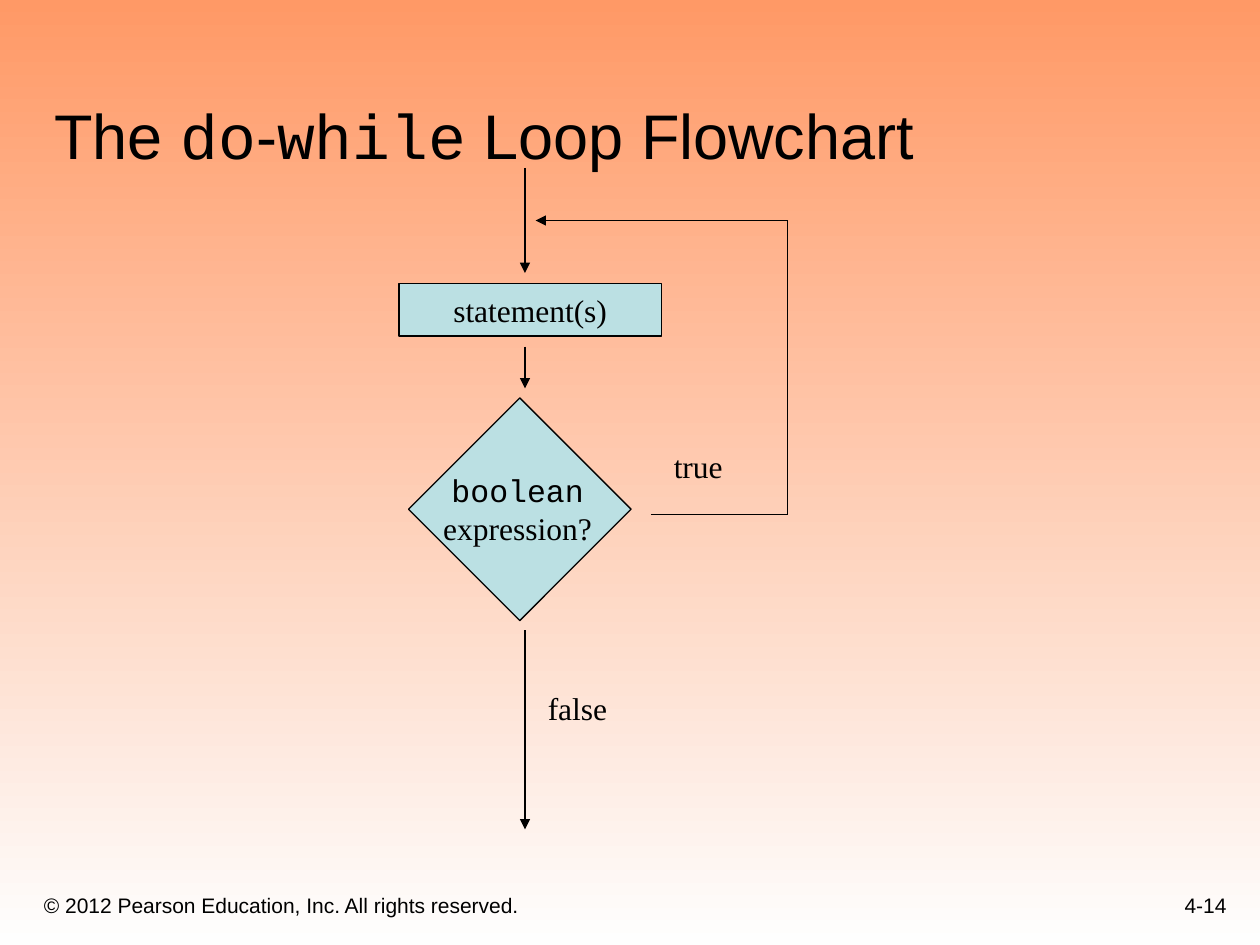
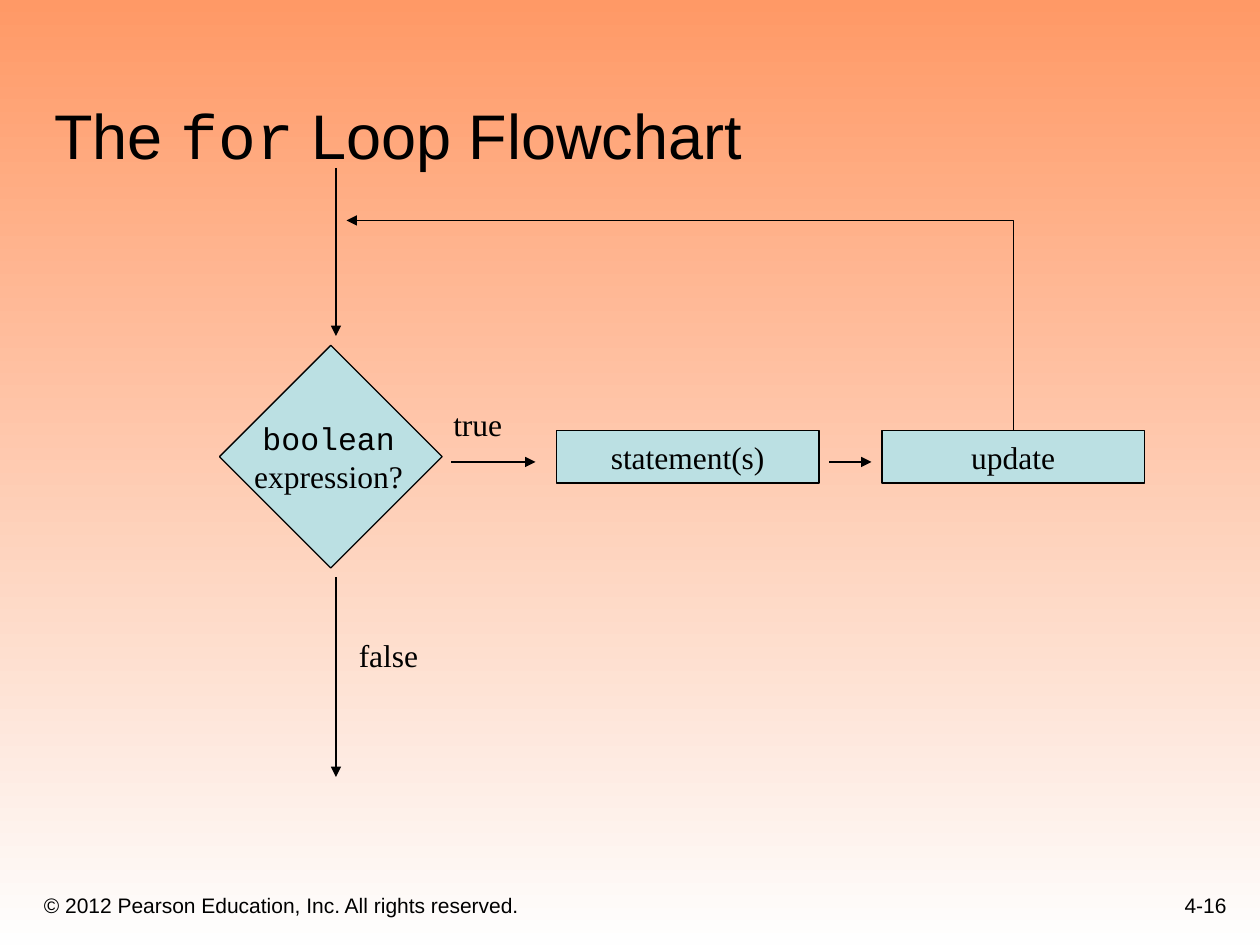
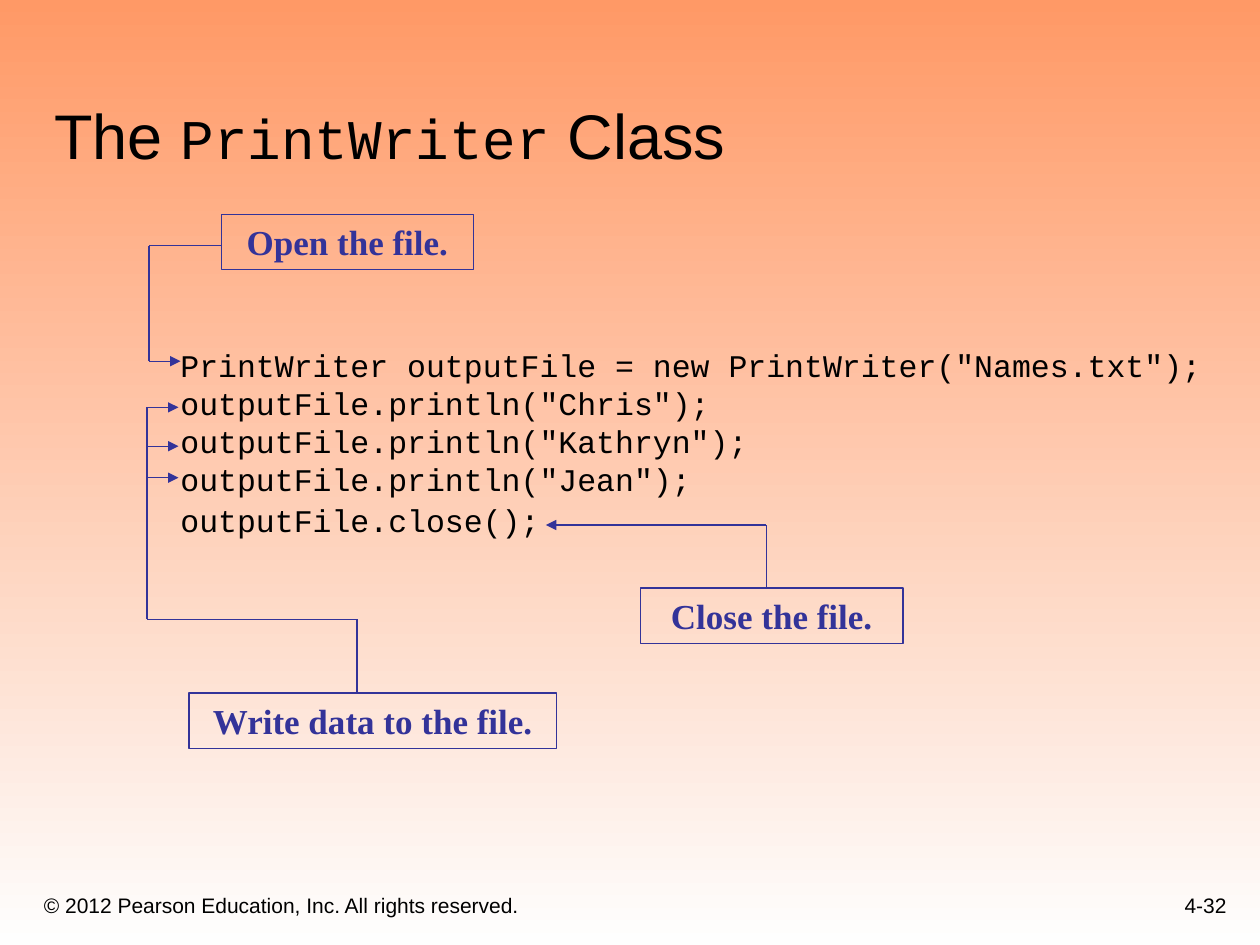
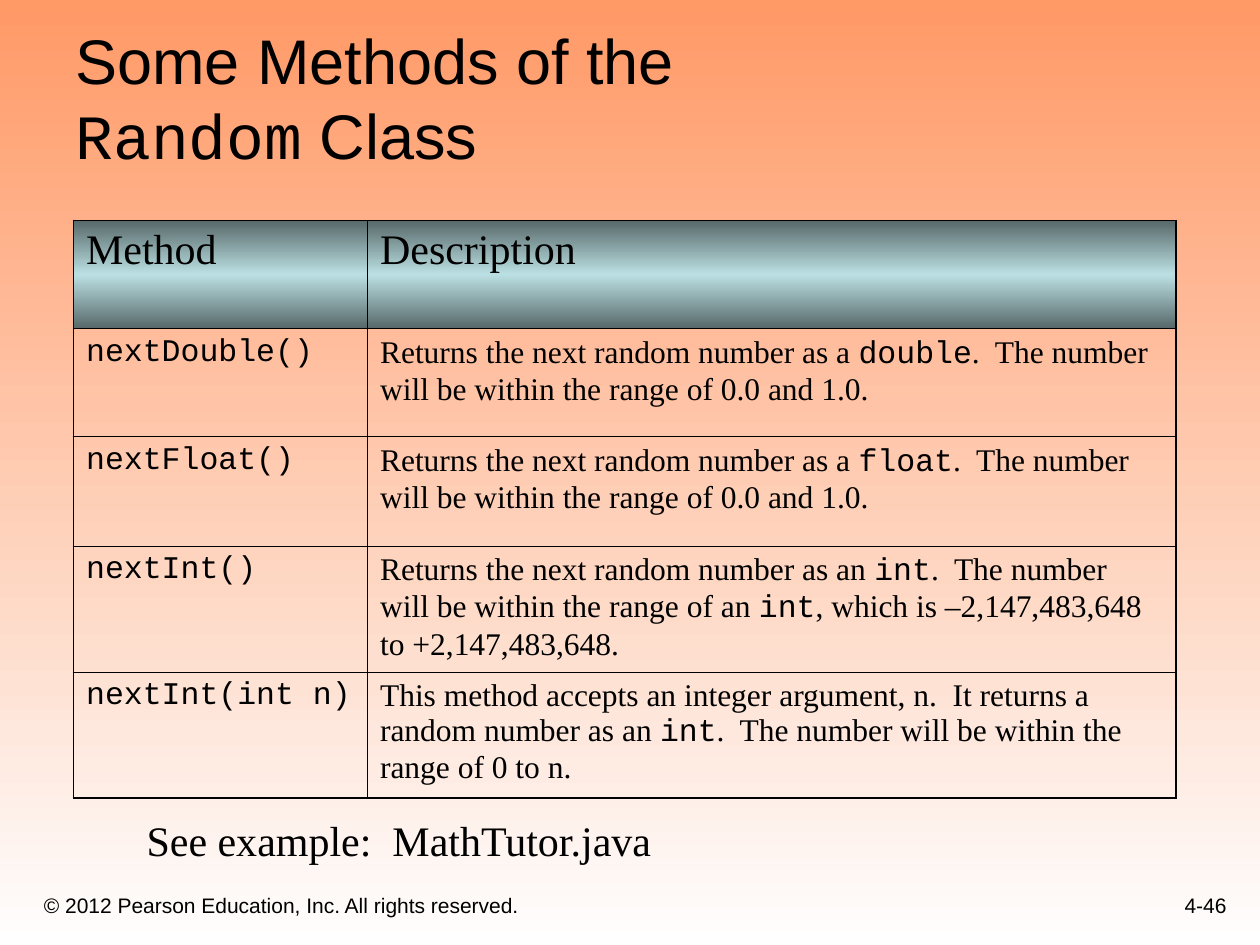
from copy import deepcopy

from lxml import etree
from pptx import Presentation
from pptx.dml.color import RGBColor
from pptx.enum.shapes import MSO_CONNECTOR, MSO_SHAPE
from pptx.enum.text import MSO_ANCHOR, PP_ALIGN
from pptx.oxml.ns import qn
from pptx.util import Emu, Pt

STRAIGHT, ELBOW = MSO_CONNECTOR.STRAIGHT, MSO_CONNECTOR.ELBOW
RECTANGLE = MSO_SHAPE.RECTANGLE
TOP, MIDDLE, BOTTOM = MSO_ANCHOR.TOP, MSO_ANCHOR.MIDDLE, MSO_ANCHOR.BOTTOM
LEFT, CENTER, RIGHT = PP_ALIGN.LEFT, PP_ALIGN.CENTER, PP_ALIGN.RIGHT

PX_PER_INCH = 120
SANS, SERIF, MONO = "Arial", "Times New Roman", "Courier New"
BLACK, BLUE, AQUA, SLATE = "000000", "333399", "BBE0E3", "576869"
ORANGE, WHITE = "FF9966", "FEFEFE"
COPYRIGHT = "© 2012 Pearson Education, Inc. All rights reserved."
LINE_WIDTH = 0.75
OUTER_BORDER, INNER_BORDER = 1.08, 0.45
LABEL_WIDTH = 90


def px(length):
    return Emu(round(length * 914400 / PX_PER_INCH))


def colour(hex_value):
    return RGBColor.from_string(hex_value)


def paint_gradient(fill, holder, hex_values):
    """Fill from top to bottom with evenly spaced stops; holder is the XML around the fill."""
    fill.gradient()
    fill.gradient_angle = 270
    stop_list = next(holder.iter(qn("a:gsLst")))
    while len(stop_list) < len(hex_values):
        stop_list.append(deepcopy(stop_list[-1]))
    for index, (stop, value) in enumerate(zip(fill.gradient_stops, hex_values)):
        stop.color.rgb = colour(value)
        stop.position = index / (len(hex_values) - 1)


def write(frame, lines, size, font=SERIF, tint=BLACK, align=LEFT,
          anchor=None, wrap=True, bold=False, code_size=None):
    """Write one paragraph per line; `backticks` mark code and a newline breaks the line."""
    frame.word_wrap = wrap
    if anchor is not None:
        frame.vertical_anchor = anchor
    for index, line in enumerate(lines):
        para = frame.add_paragraph() if index else frame.paragraphs[0]
        para.alignment = align
        for part, piece in enumerate(line.split("`")):
            is_code = part % 2 == 1
            for row, words in enumerate(piece.split("\n")):
                if row:
                    para.add_line_break()
                if not words:
                    continue
                span = para.add_run()
                span.text = words
                span.font.name = MONO if is_code else font
                span.font.size = Pt(code_size if is_code and code_size else size)
                span.font.bold = bold
                span.font.color.rgb = colour(tint)


class Deck:
    def __init__(self):
        self.file = Presentation()
        self.file.slide_width, self.file.slide_height = px(1200), px(900)
        self.page = None

    def add_page(self, number, title, title_area=(40, 40, 1130, 130), code_size=None):
        self.page = self.file.slides.add_slide(self.file.slide_layouts[6])
        paint_gradient(self.page.background.fill, self.page.element, [ORANGE, WHITE])
        self.text((30, 830, 730, 50), [COPYRIGHT], 12, font=SANS, anchor=BOTTOM)
        self.text((930, 820, 250, 60), [number], 12, font=SANS, align=RIGHT, anchor=BOTTOM)
        self.text(title_area, [title], 36, font=SANS, anchor=BOTTOM, code_size=code_size)

    def text(self, area, lines, size, **style):
        box = self.page.shapes.add_textbox(*map(px, area))
        write(box.text_frame, lines, size, **style)
        return box

    def rectangle(self, area, fill=None, line=BLACK):
        box = self.page.shapes.add_shape(RECTANGLE, *map(px, area))
        box.shadow.inherit = False
        if fill:
            box.fill.solid()
            box.fill.fore_color.rgb = colour(fill)
        else:
            box.fill.background()
        box.line.color.rgb = colour(line)
        box.line.width = Pt(LINE_WIDTH)
        return box

    def step(self, left, top, words):
        box = self.rectangle((left, top, 250, 50), fill=AQUA)
        write(box.text_frame, [words], 18, align=CENTER, anchor=MIDDLE, wrap=False)

    def callout(self, left, top, width, words):
        box = self.rectangle((left, top, width, 53), line=BLUE)
        write(box.text_frame, [words], 20, tint=BLUE, align=CENTER, anchor=TOP, bold=True)

    def branch_label(self, center, top, words):
        self.text((center - LABEL_WIDTH // 2, top, LABEL_WIDTH, 48), [words], 18,
                  align=CENTER, wrap=False)

    def decision(self, left, top):
        """Draw the diamond with its question and the false branch below it."""
        self.rectangle((left, top, 150, 150), fill=AQUA).rotation = 45
        self.text((left - 10, top + 33, 166, 84), ["`boolean`", "expression?"], 18,
                  align=CENTER, wrap=False)
        self.route([(left + 80, top + 190), (left + 80, top + 380)])
        self.branch_label(left + 130, top + 240, "false")

    def connector(self, kind, start, end, tint, arrow):
        link = self.page.shapes.add_connector(kind, *map(px, start + end))
        link.line.color.rgb = colour(tint)
        link.line.width = Pt(LINE_WIDTH)
        properties = link._element.spPr
        if arrow:
            etree.SubElement(properties.find(qn("a:ln")), qn("a:tailEnd"), type="triangle")
        etree.SubElement(properties, qn("a:effectLst"))
        return link

    def route(self, points, tint=BLACK, arrow=True):
        """Join the points with straight lines; the arrowhead is on the last one."""
        last = len(points) - 2
        for index, (start, end) in enumerate(zip(points, points[1:])):
            self.connector(STRAIGHT, start, end, tint, arrow and index == last)

    def up_then_left(self, start, end):
        """Draw a one-bend arrow: a bent connector turned by 270 degrees and flipped."""
        run, rise = start[0] - end[0], start[1] - end[1]
        left = (start[0] + end[0] - rise) / 2
        top = (start[1] + end[1] - run) / 2
        link = self.connector(ELBOW, (left, top), (left + rise, top + run), BLACK, True)
        properties = link._element.spPr
        properties.find(qn("a:prstGeom")).set("prst", "bentConnector2")
        frame = properties.find(qn("a:xfrm"))
        frame.set("rot", str(270 * 60000))
        frame.set("flipV", "1")

    def table(self, left, top, widths, heights, rows):
        area = (left, top, sum(widths), sum(heights))
        table = self.page.shapes.add_table(len(rows), len(widths), *map(px, area)).table
        table.first_row = table.horz_banding = False
        for column, width in zip(table.columns, widths):
            column.width = px(width)
        for row, height in zip(table.rows, heights):
            row.height = px(height)
        last_row, last_column = len(rows) - 1, len(widths) - 1
        for r, words in enumerate(rows):
            for c, line in enumerate(words):
                cell = table.cell(r, c)
                write(cell.text_frame, [line], 18 if r else 24)
                outer_sides = {"L": c == 0, "R": c == last_column,
                               "T": r == 0, "B": r == last_row}
                self.borders(cell, outer_sides)
                if r:
                    cell.fill.background()
                else:
                    paint_gradient(cell.fill, cell._tc, [SLATE, AQUA, SLATE])

    def borders(self, cell, outer_sides):
        properties = cell._tc.get_or_add_tcPr()
        for side, is_outer in outer_sides.items():
            width = Pt(OUTER_BORDER if is_outer else INNER_BORDER)
            border = etree.SubElement(properties, qn(f"a:ln{side}"), w=str(int(width)))
            fill = etree.SubElement(border, qn("a:solidFill"))
            etree.SubElement(fill, qn("a:srgbClr"), val=BLACK)


def do_while_page(deck):
    deck.add_page("4-14", "The `do`-`while` Loop Flowchart")
    deck.step(380, 270, "statement(s)")
    deck.route([(500, 160), (500, 260)])
    deck.route([(500, 330), (500, 370)])
    deck.decision(420, 410)
    deck.branch_label(665, 420, "true")
    deck.route([(620, 490), (750, 490), (750, 210), (510, 210)])


def for_page(deck):
    deck.add_page("4-16", "The `for` Loop Flowchart")
    deck.route([(320, 160), (320, 320)])
    deck.decision(240, 360)
    deck.branch_label(455, 380, "true")
    deck.route([(430, 440), (510, 440)])
    deck.step(530, 410, "statement(s)")
    deck.route([(790, 440), (830, 440)])
    deck.step(840, 410, "update")
    deck.up_then_left((965, 410), (330, 210))


def print_writer_page(deck):
    deck.add_page("4-32", "The `PrintWriter` Class", code_size=32)
    code = [
        'PrintWriter outputFile = new PrintWriter("Names.txt");',
        'outputFile.println("Chris");',
        'outputFile.println("Kathryn");',
        'outputFile.println("Jean");',
        'outputFile.close();',
    ]
    box = deck.text((160, 324, 1020, 197), code, 18, font=MONO)
    box.text_frame.paragraphs[-1].space_before = Pt(2)

    deck.callout(211, 204, 240, "Open the file.")
    deck.route([(211, 234), (142, 234), (142, 344), (172, 344)], BLUE)

    deck.callout(180, 660, 350, "Write data to the file.")
    for y in (388, 425, 455):
        deck.route([(140, y), (170, y)], BLUE)
    deck.route([(140, 388), (140, 590), (340, 590), (340, 660)], BLUE, arrow=False)

    deck.callout(610, 560, 250, "Close the file.")
    deck.route([(730, 560), (730, 500), (520, 500)], BLUE)


def random_page(deck):
    deck.add_page("4-46", "Some Methods of the\n`Random` Class", title_area=(60, 20, 1100, 150))
    unit_range = "Returns the next random number as a `{}`.  " \
                 "The number will be within the range of 0.0 and 1.0."
    rows = [
        ("Method", "Description"),
        ("`nextDouble()`", unit_range.format("double")),
        ("`nextFloat()`", unit_range.format("float")),
        ("`nextInt()`", "Returns the next random number as an `int`.  The number will be within "
                        "the range of an `int`, which is –2,147,483,648 to +2,147,483,648."),
        ("`nextInt(int n)`", "This method accepts an integer argument, n.  It returns a random "
                             "number as an `int`.  The number will be within the range of 0 to n."),
    ]
    deck.table(70, 210, (280, 770), (103, 103, 104, 120, 120), rows)
    deck.text((80, 770, 600, 60), ["See example:  MathTutor.java"], 24, align=CENTER)


def main():
    deck = Deck()
    do_while_page(deck)
    for_page(deck)
    print_writer_page(deck)
    random_page(deck)
    deck.file.save("out.pptx")


if __name__ == "__main__":
    main()
